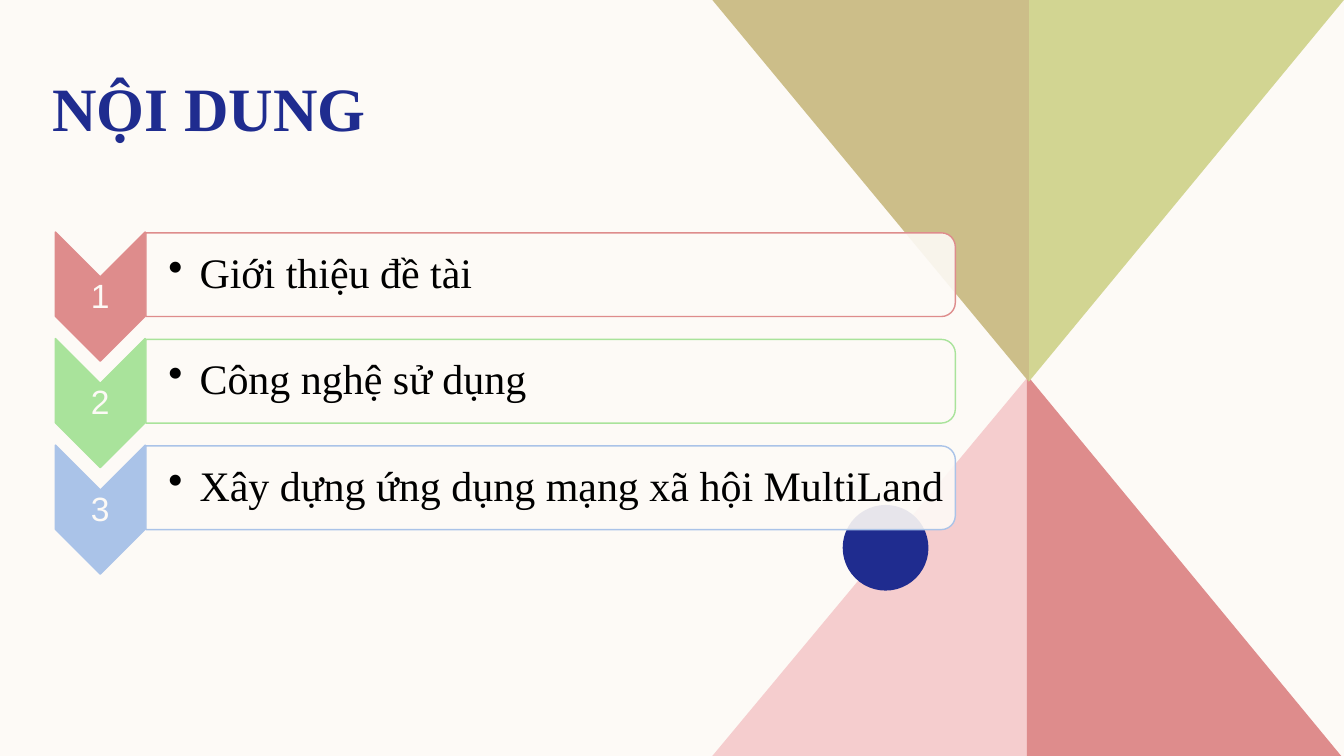
from lxml.etree import SubElement as Sub
from pptx import Presentation
from pptx.dml.color import RGBColor as Rgb
from pptx.enum.shapes import MSO_SHAPE as Kind
from pptx.enum.text import MSO_ANCHOR as Anchor, PP_ALIGN as Align
from pptx.oxml.ns import qn
from pptx.util import Inches, Pt

WIDE, HIGH = Inches(13.333), Inches(7.5)
COLORS = {
    "cream": "FDFAF6", "navy": "1F2C8F", "black": "000000",
    "pink": "F5CDCE", "rose": "DE8C8C", "lime": "D2D592", "sand": "CCBE89",
    "green": "A9E39B", "blue": "AAC3E8",
}
SERIF, SANS = "Times New Roman", "Arial"
ITEMS = [
    ("Giới thiệu đề tài", "rose"),
    ("Công nghệ sử dụng", "green"),
    ("Xây dựng ứng dụng mạng xã hội MultiLand", "blue"),
]
TOP, STEP = 30.7, 14.09  # first row and row pitch of the list


# Lengths are percent of the slide's width (x) and height (y)
def x(share):
    return round(WIDE * share / 100)


def y(share):
    return round(HIGH * share / 100)


def area(left, top, width, height):
    return x(left), y(top), x(width), y(height)


def color(name):
    return Rgb.from_string(COLORS[name])


def paint(shape, fill, line=None, alpha=None):
    shape.shadow.inherit = False
    shape.fill.solid()
    shape.fill.fore_color.rgb = color(fill)
    if alpha:
        tint = shape.fill._xPr.find(qn("a:solidFill"))[0]
        Sub(tint, qn("a:alpha"), val=str(alpha * 1000))
    if line:
        shape.line.color.rgb = color(line)
        shape.line.width = Pt(1)
    else:
        shape.line.fill.background()


def wedge(slide, points, fill):
    spots = [(x(col), y(row)) for col, row in points]
    form = slide.shapes.build_freeform(*spots[0])
    form.add_line_segments(spots[1:], close=True)
    paint(form.convert_to_shape(), fill)


def turned(slide, kind, box, **look):
    """Add a shape rotated by 90 degrees that fills the given box."""
    left, top, width, height = area(*box)
    shift = (width - height) // 2
    shape = slide.shapes.add_shape(kind, left + shift, top - shift, height, width)
    shape.rotation = 90
    paint(shape, **look)


def write(frame, text, font=SERIF, size=30, fill="black", bold=False,
          align=Align.LEFT, anchor=Anchor.MIDDLE, inset=None, bullet=False):
    frame.word_wrap = True
    frame.vertical_anchor = anchor
    if inset is not None:
        frame.margin_left = Inches(inset)
        frame.margin_right = frame.margin_top = frame.margin_bottom = Inches(0.02)
    para = frame.paragraphs[0]
    para.alignment, para.line_spacing = align, 0.9
    if bullet:
        props = para._p.get_or_add_pPr()
        props.set("marL", str(Inches(0.31)))
        props.set("indent", str(-Inches(0.31)))
        Sub(props, qn("a:buChar"), char="•")
    run = para.add_run()
    run.text = text
    run.font.name, run.font.size, run.font.bold = font, Pt(size), bold
    run.font.color.rgb = color(fill)


def label(slide, box, text, **form):
    write(slide.shapes.add_textbox(*area(*box)).text_frame, text, **form)


def decor(slide):
    wedge(slide, [(76.6, 49.6), (53, 100), (76.6, 100)], "pink")
    wedge(slide, [(76.4, 49.6), (99.8, 100), (76.4, 100)], "rose")
    wedge(slide, [(76.55, 50.5), (100, 0), (76.55, 0)], "lime")
    wedge(slide, [(76.55, 50.5), (53, 0), (76.55, 0)], "sand")
    dot = slide.shapes.add_shape(Kind.OVAL, *area(62.7, 66.8, 6.38, 11.33))
    paint(dot, "navy")


def entry(slide, index, text, tone):
    row = TOP + index * STEP
    # Numbered chevron
    turned(slide, Kind.CHEVRON, (4.12, row, 6.68, 17.07), fill=tone, line=tone)
    label(slide, (4.12, row + 6.1, 6.68, 5.07), str(index + 1), font=SANS,
          size=24, fill="cream", align=Align.CENTER, inset=0.02)
    # Topic bar
    turned(slide, Kind.ROUND_2_SAME_RECTANGLE, (10.86, row + 0.1, 60.22, 11.07),
           fill="cream", line=tone, alpha=90)
    label(slide, (10.8, row + 0.63, 59.92, 10), text, inset=0.23, bullet=True)


def main():
    deck = Presentation()
    deck.slide_width, deck.slide_height = WIDE, HIGH
    slide = deck.slides.add_slide(deck.slide_layouts[5])
    slide.background.fill.solid()
    slide.background.fill.fore_color.rgb = color("cream")
    decor(slide)

    # Title
    title = slide.shapes.title
    title.left, title.top, title.width, title.height = area(3.15, 8.67, 46.73, 11.2)
    write(title.text_frame, "NỘI DUNG", size=44, fill="navy", bold=True,
          anchor=Anchor.BOTTOM)

    # Numbered list
    for index, (text, tone) in enumerate(ITEMS):
        entry(slide, index, text, tone)
    deck.save("out.pptx")


if __name__ == "__main__":
    main()
